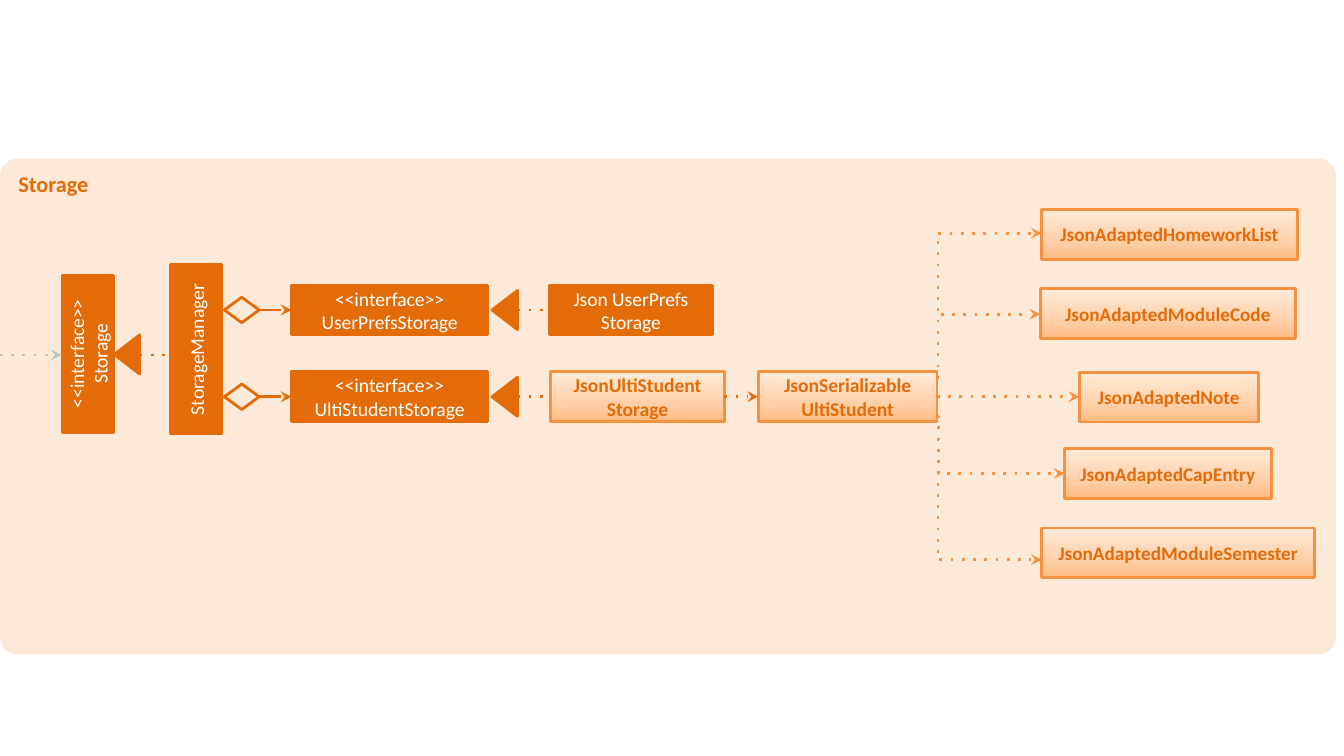
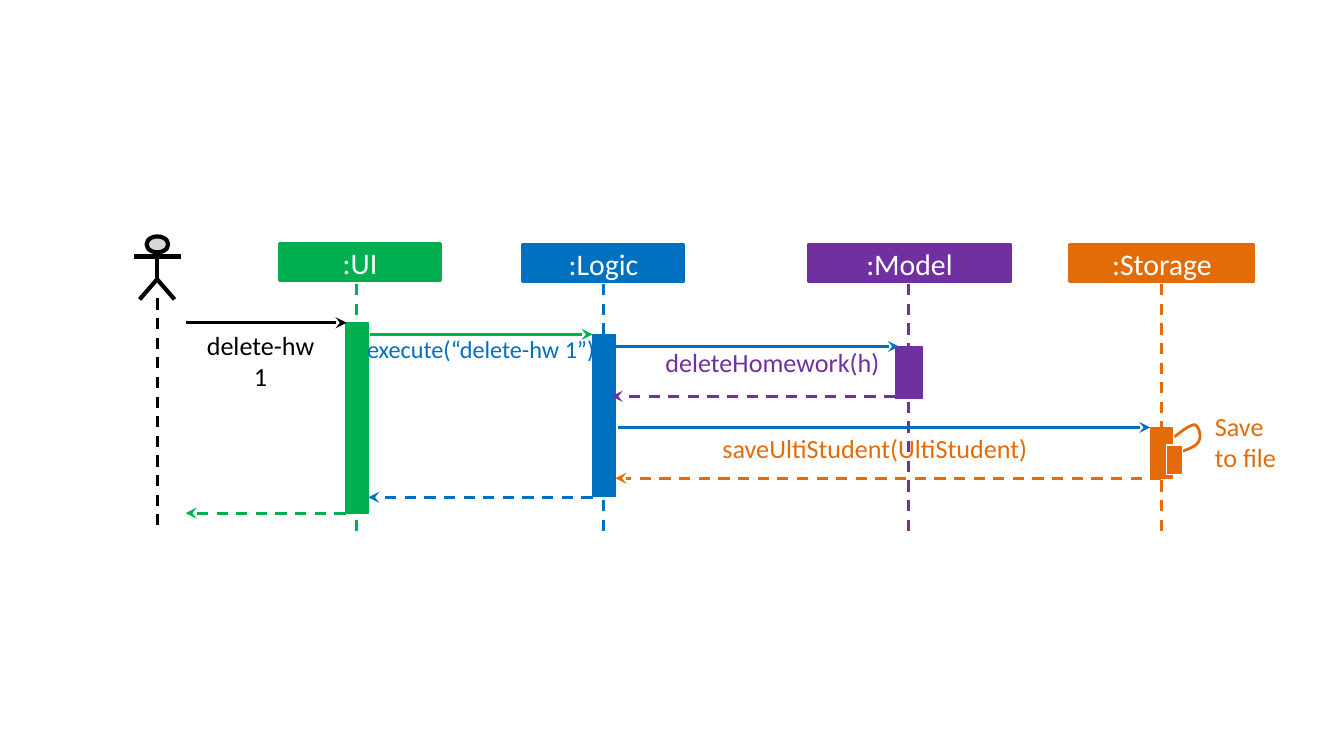
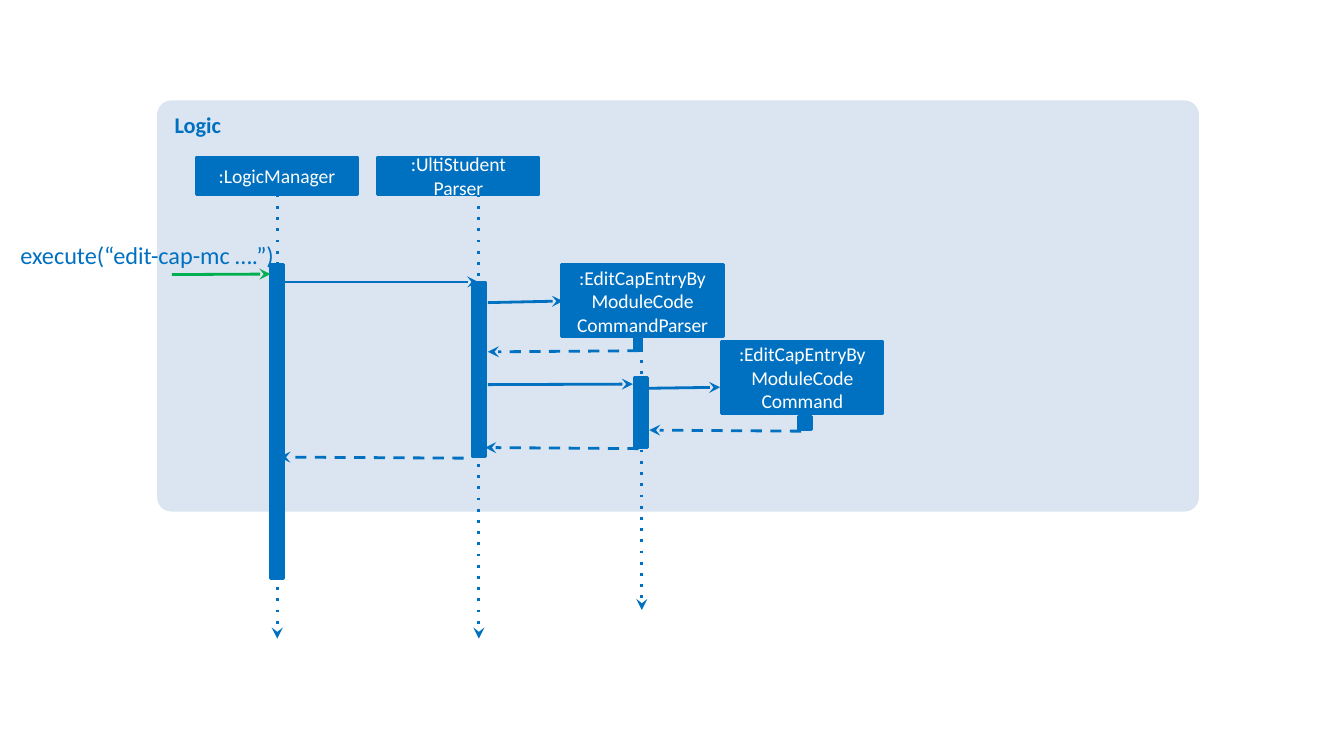
import copy

from lxml import etree
from pptx import Presentation
from pptx import util as u
from pptx.dml.color import RGBColor
from pptx.enum import shapes, text
from pptx.oxml.ns import qn

COLORS = {
    "white": "FFFFFF", "black": "000000", "gray": "BFBFBF", "head": "D8D8D8",
    "orange": "E36C09", "amber": "F5913F", "peach": "FDE9D8",
    "blue": "0070C0", "ice": "DAE5F1", "green": "00B050", "purple": "7030A0",
}
GRADIENT = [(0, "FFBB82"), (0.35, "FFCFA8"), (1, "FFEBD9")]
SHAPE = shapes.MSO_SHAPE
CONNECTOR = shapes.MSO_CONNECTOR


def rgb(name):
    return RGBColor.from_string(COLORS[name])


class Diagram:
    """Draws styled UML elements on the current slide, with lengths in centimetres."""

    font = "Calibri"

    def __init__(self):
        self.presentation = Presentation()
        self.presentation.slide_width = u.Cm(25.4)
        self.presentation.slide_height = u.Cm(14.29)
        self.slide = None

    def new_slide(self):
        self.slide = self.presentation.slides.add_slide(self.presentation.slide_layouts[6])

    def set_text(self, frame, words, size, color, bold=False, align=text.PP_ALIGN.CENTER):
        frame.word_wrap = True
        frame.text = words
        for paragraph in frame.paragraphs:
            paragraph.alignment = align
            font = paragraph.font
            font.name, font.size, font.bold = self.font, u.Pt(size), bold
            font.color.rgb = rgb(color)

    def outline(self, shape, color, width):
        shape.shadow.inherit = False
        if color:
            shape.line.color.rgb = rgb(color)
            shape.line.width = u.Pt(width)
        else:
            shape.line.fill.background()

    def shape(self, kind, frame, fill, line=None, width=1.5, rotation=0):
        shape = self.slide.shapes.add_shape(kind, *map(u.Cm, frame))
        shape.rotation = rotation
        if fill:
            shape.fill.solid()
            shape.fill.fore_color.rgb = rgb(fill)
        else:
            shape.fill.background()
        self.outline(shape, line, width)
        return shape

    def panel(self, frame, title, fill, color):
        panel = self.shape(SHAPE.ROUNDED_RECTANGLE, frame, fill)
        panel.adjustments[0] = 0.035
        panel.text_frame.vertical_anchor = text.MSO_ANCHOR.TOP
        self.set_text(panel.text_frame, title, 12, color, True, text.PP_ALIGN.LEFT)

    def box(self, frame, words, color, size=10.5, rotation=0):
        box = self.shape(SHAPE.RECTANGLE, frame, color, color, rotation=rotation)
        box.text_frame.vertical_anchor = text.MSO_ANCHOR.MIDDLE
        self.set_text(box.text_frame, words, size, "white")
        return box

    def json_box(self, frame, words, size=10.5):
        box = self.box(frame, words, "amber")
        self.set_text(box.text_frame, words, size, "orange", True)
        box.fill.gradient()
        box.fill.gradient_angle = 90
        stop_list = box._element.spPr.find(qn("a:gradFill")).find(qn("a:gsLst"))
        stop_list.append(copy.deepcopy(stop_list[0]))
        for stop, (position, color) in zip(box.fill.gradient_stops, GRADIENT):
            stop.position = position
            stop.color.rgb = RGBColor.from_string(color)

    def bar(self, frame, color, width=1.5, line=None):
        return self.shape(SHAPE.RECTANGLE, frame, color, line or color, width)

    def triangle(self, left, center):
        self.shape(SHAPE.ISOSCELES_TRIANGLE, (left, center - 0.24, 0.74, 0.48),
                   "orange", "orange", rotation=270)

    def line(self, start, end, color, dash=None, arrow=True, width=1.5,
             kind=CONNECTOR.STRAIGHT, bend=None):
        connector = self.slide.shapes.add_connector(kind, *map(u.Cm, (*start, *end)))
        connector.line.color.rgb = rgb(color)
        connector.line.width = u.Pt(width)
        properties = connector._element.spPr
        stroke = properties.find(qn("a:ln"))
        if dash:
            etree.SubElement(stroke, qn("a:prstDash"), val=dash)
        if arrow:
            etree.SubElement(stroke, qn("a:tailEnd"), type="stealth")
        if bend is not None:
            guides = properties.find(qn("a:prstGeom")).find(qn("a:avLst"))
            etree.SubElement(guides, qn("a:gd"), name="adj1", fmla=f"val {bend}")
        etree.SubElement(properties, qn("a:effectLst"))
        return connector

    def elbow(self, start, end, color="orange", arrow=True, bend=50000):
        self.line(start, end, color, "dot", arrow, kind=CONNECTOR.ELBOW, bend=bend)

    def label(self, frame, words, color, size=14, align=text.PP_ALIGN.CENTER):
        label = self.slide.shapes.add_textbox(*map(u.Cm, frame))
        body = label.text_frame
        body.margin_left = body.margin_right = body.margin_top = body.margin_bottom = 0
        self.set_text(body, words, size, color, align=align)

    def stroke(self, points, color, width):
        points = [(u.Cm(x), u.Cm(y)) for x, y in points]
        builder = self.slide.shapes.build_freeform(*points[0], scale=1.0)
        builder.add_line_segments(points[1:], close=False)
        shape = builder.convert_to_shape()
        shape.fill.background()
        self.outline(shape, color, width)
        return shape

    def actor(self):
        pen = {"color": "black", "width": 2.25, "arrow": False}
        parts = [
            self.shape(SHAPE.FLOWCHART_CONNECTOR, (2.77, 4.47, 0.41, 0.3), "head", "black", 2.25),
            self.line((2.97, 4.78), (2.97, 5.31), **pen),
            self.line((2.54, 4.85), (3.43, 4.85), **pen),
            self.stroke([(2.64, 5.66), (2.97, 5.28), (3.3, 5.66)], "black", 2.25),
        ]
        self.slide.shapes.add_group_shape(parts)


def curve(start, *segments, steps=10):
    points = [start]
    for first, second, end in segments:
        begin = points[-1]
        for step in range(1, steps + 1):
            t = step / steps
            weights = ((1 - t) ** 3, 3 * t * (1 - t) ** 2, 3 * t * t * (1 - t), t ** 3)
            points.append(tuple(
                sum(w * p[axis] for w, p in zip(weights, (begin, first, second, end)))
                for axis in (0, 1)))
    return points


def storage_classes(diagram):
    diagram.new_slide()
    diagram.panel((0, 3, 25.25, 9.37), "Storage", "peach", "orange")
    diagram.box((2.11, 6.12, 3.2, 0.97), "StorageManager", "orange", rotation=270)
    diagram.box((0.18, 6.2, 2.97, 0.97), "<<interface>>\nStorage", "orange", rotation=270)
    diagram.triangle(2.03, 6.7)
    diagram.elbow((0, 6.71), (1.17, 6.71), "gray")
    diagram.line((2.64, 6.71), (3.25, 6.71), "orange", "dot", arrow=False)

    for center, name in ((5.86, "UserPrefsStorage"), (7.5, "UltiStudentStorage")):
        diagram.box((5.51, center - 0.47, 3.71, 0.94), f"<<interface>>\v{name}", "orange")
        diagram.line((4.9, center), (5.51, center), "orange")
        diagram.shape(SHAPE.FLOWCHART_DECISION, (4.24, center - 0.24, 0.66, 0.48), None, "orange")
        diagram.elbow((9.78, center), (10.41, center), arrow=False)
        diagram.triangle(9.17, center)

    diagram.box((10.39, 5.39, 3.07, 0.94), "Json UserPrefs\vStorage", "orange")
    diagram.json_box((10.41, 7.03, 3.28, 0.94), "JsonUltiStudent\vStorage")
    diagram.json_box((14.33, 7.03, 3.38, 0.94), "JsonSerializable\vUltiStudent")
    diagram.elbow((13.69, 7.5), (14.33, 7.5))

    adapted = [
        ("HomeworkList", 19.69, 3.96, 4.83, 7.14, 4.41),
        ("ModuleCode", 19.66, 5.46, 4.83, 7.14, 5.94),
        ("Note", 20.4, 7.04, 3.38, 7.5, 7.5),
        ("CapEntry", 20.12, 8.48, 3.91, 7.87, 8.95),
        ("ModuleSemester", 19.69, 9.98, 5.16, 7.87, 10.58),
    ]
    for name, left, top, width, start, end in adapted:
        diagram.json_box((left, top, width, 0.94), f"JsonAdapted{name}", 10.3)
        diagram.elbow((17.71, start), (left, end), "amber", bend=900)


def delete_sequence(diagram):
    diagram.new_slide()
    diagram.actor()
    diagram.line((2.97, 5.64), (2.97, 10.03), "black", "dash", arrow=False)
    participants = [
        (":UI", "green", (5.28, 4.6, 3.05, 0.71), 6.73, (6.53, 6.1, 0.43, 3.61)),
        (":Logic", "blue", (9.88, 4.62, 3.05, 0.71), 11.4, (11.2, 6.32, 0.43, 3.07)),
        (":Model", "purple", (15.27, 4.62, 3.84, 0.71), 17.17, (16.92, 6.55, 0.51, 0.99)),
        (":Storage", "orange", (20.22, 4.62, 3.48, 0.71), 21.95, (21.74, 8.08, 0.41, 0.97)),
    ]
    for name, color, frame, lifeline, activation in participants:
        diagram.box(frame, name, color, 16)
        diagram.line((lifeline, 5.37), (lifeline, 10.03), color, "dash", arrow=False)
        diagram.bar(activation, color, 0.75)

    messages = [
        (3.51, 6.55, 6.1, "black", None), (6.99, 11.2, 6.32, "green", None),
        (11.63, 16.99, 6.55, "blue", None), (16.92, 11.56, 7.49, "purple", "dash"),
        (11.2, 6.96, 9.4, "blue", "dash"), (6.53, 3.51, 9.7, "green", "dash"),
        (21.95, 11.63, 9.04, "orange", "dash"), (11.68, 21.74, 8.08, "blue", None),
    ]
    for start, end, y, color, dash in messages:
        diagram.line((start, y), (end, y), color, dash)

    diagram.label((3.73, 6.22, 2.39, 0.46), "delete-hw 1", "black")
    diagram.label((6.81, 6.32, 4.55, 0.46), "execute(“delete-hw 1”)", "blue", 13)
    diagram.label((12.29, 6.55, 4.62, 0.46), "deleteHomework(h)", "purple")
    diagram.label((12.6, 8.18, 7.87, 0.46), "saveUltiStudent(UltiStudent)", "orange")
    diagram.label((22.96, 7.75, 1.73, 0.89), "Save \vto file", "orange",
                  align=text.PP_ALIGN.LEFT)

    self_call = curve(
        (22.35, 8.53),
        ((22.48, 8.48), (22.63, 8.43), (22.66, 8.33)),
        ((22.71, 8.26), (22.66, 8.05), (22.58, 8.03)),
        ((22.5, 8.03), (22.35, 8.13), (22.2, 8.26)),
    )
    diagram.stroke(self_call, "orange", 1.5)
    diagram.bar((22.05, 8.41, 0.3, 0.56), "orange", 0.75, "white")


def edit_sequence(diagram):
    diagram.new_slide()
    diagram.panel((2.97, 1.9, 19.69, 7.77), "Logic", "ice", "blue")
    diagram.label((0, 4.55, 5.56, 0.46), "execute(“edit-cap-mc ….”)", "blue", 13)

    for x, top, bottom in ((5.24, 3.68, 12.07), (9.05, 3.68, 12.07), (12.13, 6.38, 11.53)):
        diagram.line((x, top), (x, bottom), "blue", "dot")

    participants = [
        (":LogicManager", 3.71, 2.97, 0.71),
        (":UltiStudent\vParser", 7.14, 2.97, 0.71),
        (":EditCapEntryByModuleCode\vCommandParser", 10.62, 5, 1.37),
        (":EditCapEntryByModuleCode\vCommand", 13.64, 6.45, 1.37),
    ]
    for name, left, top, height in participants:
        diagram.box((left, top, 3.05, height), name, "blue")

    activations = [
        (5.11, 5, 0.25, 5.94), (8.92, 5.33, 0.25, 3.3), (11.99, 6.38, 0.13, 0.25),
        (11.99, 7.14, 0.25, 1.32), (15.09, 7.87, 0.25, 0.25),
    ]
    for activation in activations:
        diagram.bar(activation, "blue")

    diagram.line((3.25, 5.19), (5.11, 5.18), "green")
    calls = [
        ((5.36, 5.33), (9.04, 5.33)), ((9.22, 5.72), (10.64, 5.69)),
        ((9.22, 7.27), (11.96, 7.26)), ((12.19, 7.34), (13.61, 7.32)),
    ]
    returns = [
        ((12.07, 6.63), (9.22, 6.65)), ((15.14, 8.15), (12.27, 8.13)),
        ((12.07, 8.48), (9.17, 8.46)), ((8.76, 8.66), (5.28, 8.64)),
    ]
    for dash, messages in ((None, calls), ("dash", returns)):
        for start, end in messages:
            diagram.line(start, end, "blue", dash)


def main():
    diagram = Diagram()
    storage_classes(diagram)
    delete_sequence(diagram)
    edit_sequence(diagram)
    diagram.presentation.save("out.pptx")


if __name__ == "__main__":
    main()
